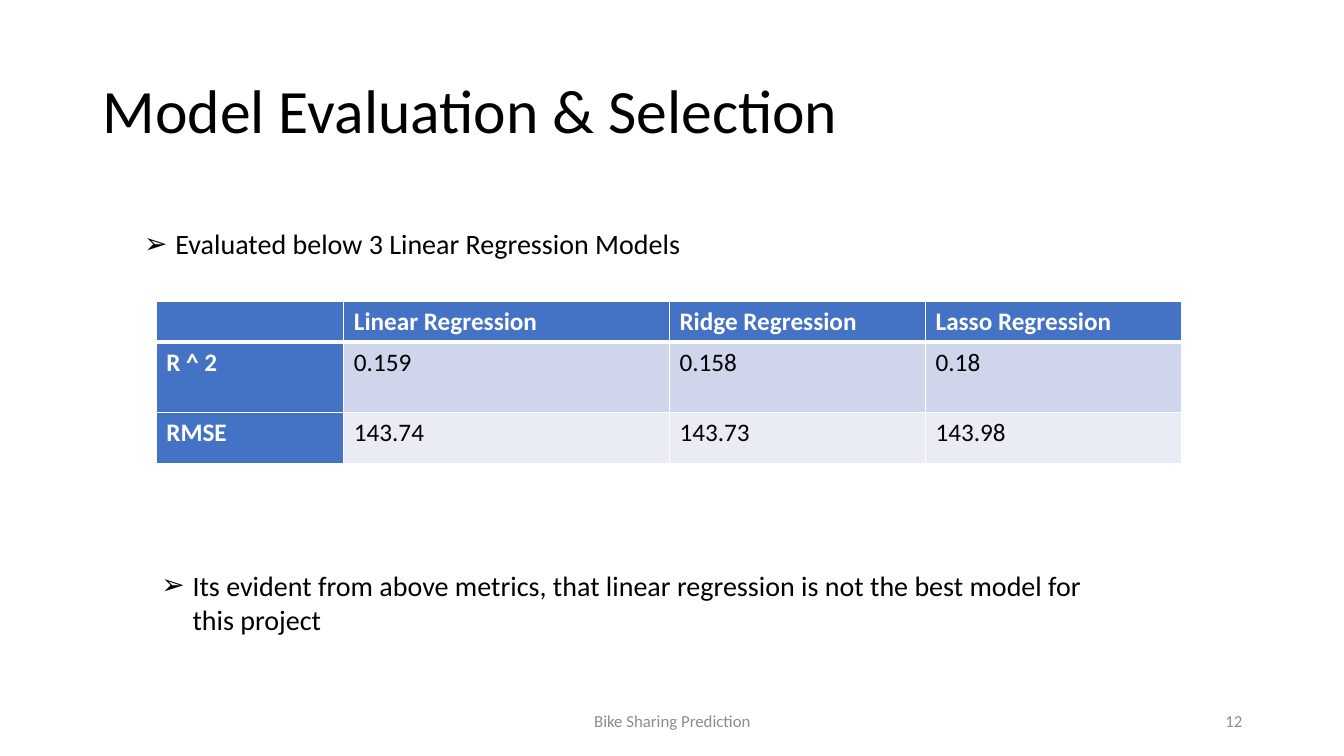
from pptx import Presentation
from pptx.dml.color import RGBColor
from pptx.enum.text import MSO_ANCHOR, MSO_AUTO_SIZE, PP_ALIGN
from pptx.oxml.ns import qn
from pptx.util import Inches, Pt
from lxml import etree

LEFT, CENTER, RIGHT = PP_ALIGN.LEFT, PP_ALIGN.CENTER, PP_ALIGN.RIGHT
TOP, MIDDLE = MSO_ANCHOR.TOP, MSO_ANCHOR.MIDDLE
FIXED = MSO_AUTO_SIZE.NONE

COLORS = {
    "ink": "000000",
    "white": "FFFFFF",
    "head": "4472C4",
    "band": "CFD5EA",
    "pale": "E9EBF5",
    "gray": "8C8C8C",
}
MODELS = [
    ["", "Linear Regression", "Ridge Regression", "Lasso Regression"],
    ["R ^ 2", "0.159", "0.158", "0.18"],
    ["RMSE", "143.74", "143.73", "143.98"],
]


class Deck:
    """Holds the style and the current slide, and adds each kind of element."""

    def __init__(self, show, layout, font="Calibri"):
        self.slide = show.slides.add_slide(show.slide_layouts[layout])
        self.font = font

    def color(self, name):
        return RGBColor.from_string(COLORS[name])

    def fill_text(self, frame, text, size, color="ink", bold=False, align=LEFT):
        frame.text = text
        para = frame.paragraphs[0]
        para.alignment = align
        for run in para.runs:
            run.font.name = self.font
            run.font.size = Pt(size)
            run.font.bold = bold
            run.font.color.rgb = self.color(color)
        return para

    def place(self, shape, box, anchor):
        shape.left, shape.top, shape.width, shape.height = map(Inches, box)
        frame = shape.text_frame
        frame.word_wrap = True
        frame.auto_size = FIXED
        frame.vertical_anchor = anchor
        return frame

    def title(self, text, box):
        frame = self.place(self.slide.shapes.title, box, MIDDLE)
        self.fill_text(frame, text, 44).line_spacing = 0.9

    def point(self, index, text, box):
        frame = self.place(self.slide.placeholders[index], box, TOP)
        para = self.fill_text(frame, text, 20)
        para.space_before = Pt(0)
        props = para._p.get_or_add_pPr()
        props.set("marL", str(Inches(0.31)))
        props.set("indent", str(Inches(-0.31)))
        etree.SubElement(props, qn("a:buChar")).set("char", "➢")

    def label(self, text, box, align):
        shape = self.slide.shapes.add_textbox(*map(Inches, box))
        frame = self.place(shape, box, MIDDLE)
        self.fill_text(frame, text, 12, "gray", align=align)

    def border(self, cell, widths):
        props = cell._tc.get_or_add_tcPr()
        for side, width in zip("LRTB", widths):
            line = etree.SubElement(props, qn(f"a:ln{side}"))
            line.set("w", str(Pt(width)))
            fill = etree.SubElement(line, qn("a:solidFill"))
            etree.SubElement(fill, qn("a:srgbClr")).set("val", COLORS["white"])

    def table(self, data, left, top, widths, heights):
        size = sum(widths), sum(heights)
        frame = self.slide.shapes.add_table(
            len(data), len(data[0]), *map(Inches, (left, top, *size)))
        grid = frame.table
        grid.first_col = True
        for col, width in zip(grid.columns, widths):
            col.width = Inches(width)
        for row, height in zip(grid.rows, heights):
            row.height = Inches(height)
        for r, row in enumerate(data):
            for c, text in enumerate(row):
                cell = grid.cell(r, c)
                head = r == 0 or c == 0
                self.border(cell, (1, 1, 3 if r == 1 else 1, 3 if r == 0 else 1))
                cell.fill.solid()
                fill = "head" if head else "band" if r % 2 else "pale"
                cell.fill.fore_color.rgb = self.color(fill)
                ink = "white" if head else "ink"
                self.fill_text(cell.text_frame, text, 18, ink, head)


def main():
    show = Presentation()
    show.slide_width, show.slide_height = Inches(13.33), Inches(7.5)
    deck = Deck(show, 3)
    deck.title("Model Evaluation & Selection", (0.92, 0.4, 11.5, 1.45))
    deck.table(MODELS, 1.55, 2.99, (1.86, 3.23, 2.54, 2.54), (0.4, 0.7, 0.5))
    deck.label("Bike Sharing Prediction", (4.42, 6.95, 4.5, 0.4), CENTER)
    deck.label("12", (9.42, 6.95, 3, 0.4), RIGHT)
    deck.point(1, "Evaluated below 3 Linear Regression Models",
               (1.33, 2.2, 5.6, 0.44))
    deck.point(2, "Its evident from above metrics, that linear regression "
               "is not the best model for this project",
               (1.5, 5.59, 9.7, 0.77))
    show.save("out.pptx")


if __name__ == "__main__":
    main()
